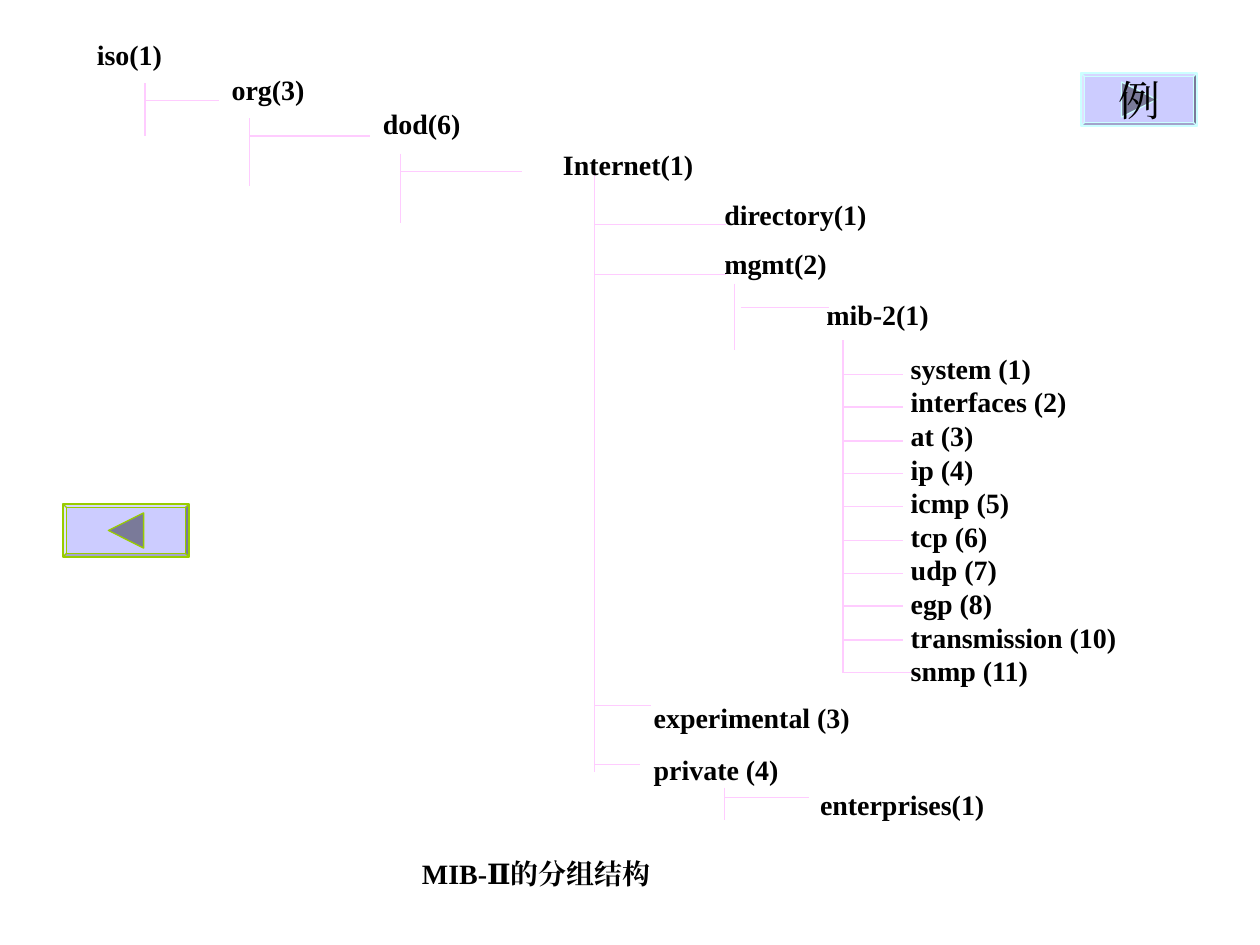
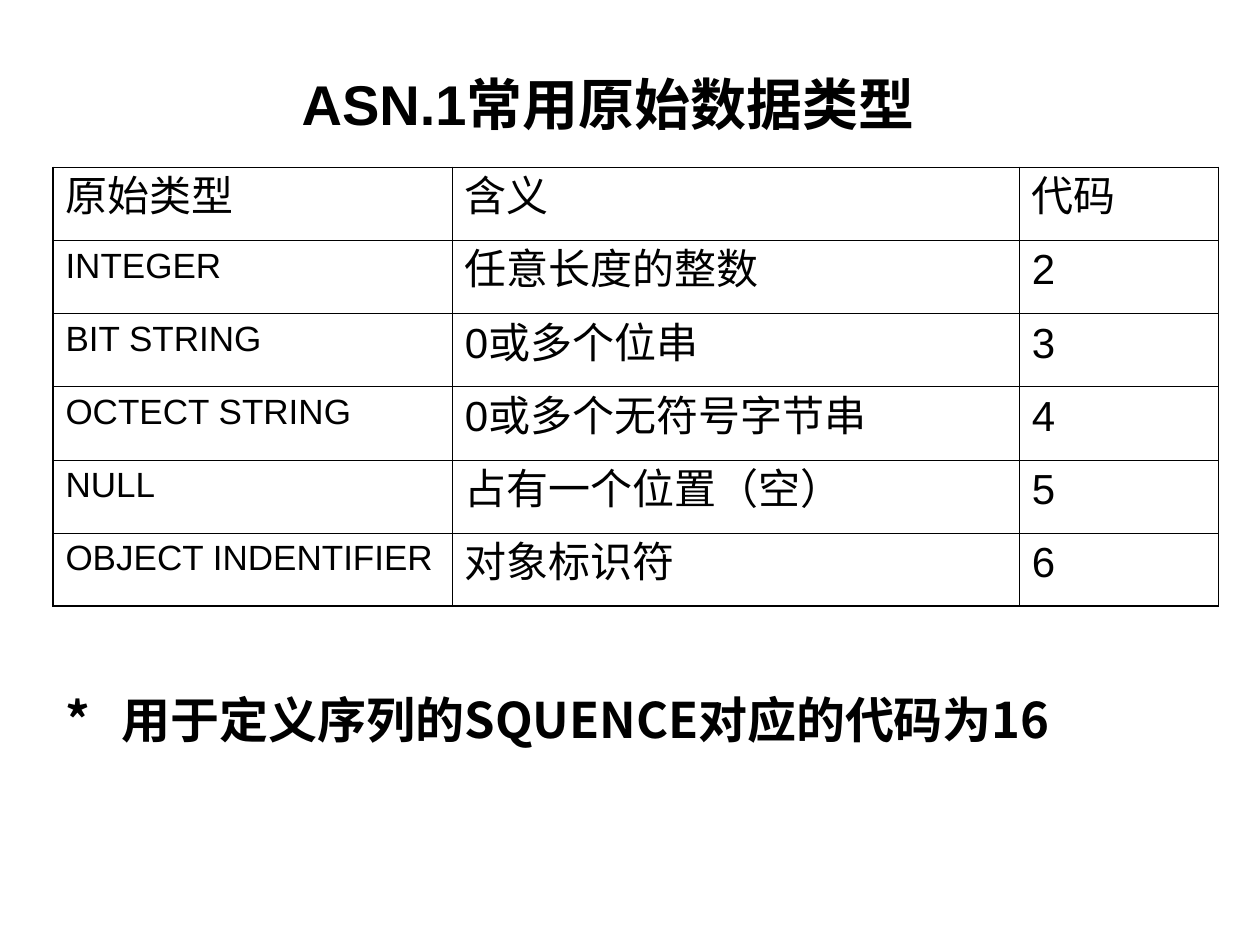
import pptx
import pptx.dml.color
import pptx.enum.shapes
import pptx.enum.text
import pptx.oxml.ns
import pptx.util
from lxml import etree

EMU_PER_PX = 9144
BLACK = "000000"
BRANCH_PINK = "FFCCFF"
BUTTON_FACE = "CCCCFF"
BUTTON_ARROW = "7A7A99"
SERIF = "Times New Roman"
SANS = "Arial"
CJK = "Noto Sans CJK SC"
ALIGN = pptx.enum.text.PP_ALIGN
ANCHOR = pptx.enum.text.MSO_ANCHOR

NODES = [
    ("org(3)", 174, 53, 96),
    ("dod(6)", 294, 80, 108),
    ("Internet(1)", 437, 112, 163),
    ("directory(1)", 565, 152, 151),
    ("mgmt(2)", 565, 191, 151),
    ("mib-2(1)", 646, 231, 139),
    ("experimental (3)", 509, 551, 204),
    ("private (4)", 509, 592, 216),
    ("enterprises(1)", 641, 620, 192),
]
MIB_GROUPS = [
    "system (1)", "interfaces (2)", "at (3)", "ip (4)", "icmp (5)",
    "tcp (6)", "udp (7)", "egp (8)", "transmission (10)", "snmp (11)",
]
TYPE_ROWS = [
    ("原始类型", "含义", "代码"),
    ("INTEGER", "任意长度的整数", "2"),
    ("BIT STRING", "0或多个位串", "3"),
    ("OCTECT STRING", "0或多个无符号字节串", "4"),
    ("NULL", "占有一个位置（空）", "5"),
    ("OBJECT INDENTIFIER", "对象标识符", "6"),
]


def px(length):
    return pptx.util.Emu(length * EMU_PER_PX)


def colour(hex_code):
    return pptx.dml.color.RGBColor.from_string(hex_code)


def write(frame, text, size=16, font=SERIF, bold=False, align=None, before=0, hang=0):
    for index, line in enumerate(text.split("\n")):
        paragraph = frame.paragraphs[0] if index == 0 else frame.add_paragraph()
        paragraph.alignment = align
        paragraph.space_before = pptx.util.Pt(before)
        if hang:
            properties = paragraph._p.get_or_add_pPr()
            properties.set("marL", str(px(hang)))
            properties.set("indent", str(-px(hang)))
        run = paragraph.add_run()
        run.text = line
        run.font.size = pptx.util.Pt(size)
        run.font.name = font
        run.font.bold = bold
        run.font.color.rgb = colour(BLACK)
        east_asian = etree.SubElement(run._r.get_or_add_rPr(), pptx.oxml.ns.qn("a:ea"))
        east_asian.set("typeface", font)


def label(slide, text, left, top, width, height, anchor=ANCHOR.TOP, **text_format):
    box = slide.shapes.add_textbox(px(left), px(top), px(width), px(height))
    box.text_frame.word_wrap = True
    box.text_frame.vertical_anchor = anchor
    write(box.text_frame, text, **text_format)
    return box


def node(slide, text, left, top, width, height=41):
    return label(slide, text, left, top, width, height, bold=True, align=ALIGN.JUSTIFY)


def branch_line(slide, x1, y1, x2, y2):
    line = slide.shapes.add_connector(
        pptx.enum.shapes.MSO_CONNECTOR.STRAIGHT, px(x1), px(y1), px(x2), px(y2))
    line.line.color.rgb = colour(BRANCH_PINK)
    line.line.width = pptx.util.Pt(0.75)
    etree.SubElement(line._element.spPr, pptx.oxml.ns.qn("a:effectLst"))
    return line


def branch(slide, trunk_x, top, bottom, twigs, twig_x=None):
    trunk = branch_line(slide, trunk_x, top, trunk_x, bottom)
    for y, end_x in twigs:
        branch_line(slide, twig_x or trunk_x, y, end_x, y)
    return trunk


def paint(shape, fill, outline):
    shape.shadow.inherit = False
    shape.fill.solid()
    shape.fill.fore_color.rgb = colour(fill)
    shape.line.color.rgb = colour(outline)
    shape.line.width = pptx.util.Pt(0.75)


def nav_button(slide, left, top, width, outline, direction):
    height, half_arrow = 42, 14
    face = slide.shapes.add_shape(
        pptx.enum.shapes.MSO_SHAPE.BEVEL, px(left), px(top), px(width), px(height))
    face.adjustments[0] = 0.07
    paint(face, BUTTON_FACE, outline)
    middle_x, middle_y = left + width // 2, top + height // 2
    tip_x = middle_x + direction * half_arrow
    base_x = middle_x - direction * half_arrow
    builder = slide.shapes.build_freeform(tip_x, middle_y, scale=EMU_PER_PX)
    builder.add_line_segments(
        [(base_x, middle_y - half_arrow), (base_x, middle_y + half_arrow)])
    paint(builder.convert_to_shape(), BUTTON_ARROW, outline)


def set_borders(cell, widths):
    properties = cell._tc.get_or_add_tcPr()
    for index, (side, width) in enumerate(widths.items()):
        edge = etree.Element(
            pptx.oxml.ns.qn("a:" + side), w=str(pptx.util.Pt(width)))
        fill = etree.SubElement(edge, pptx.oxml.ns.qn("a:solidFill"))
        etree.SubElement(fill, pptx.oxml.ns.qn("a:srgbClr"), val=BLACK)
        properties.insert(index, edge)


def type_table(slide, rows, left, top, column_widths, row_height):
    last_row, last_column = len(rows) - 1, len(column_widths) - 1
    table = slide.shapes.add_table(
        len(rows), len(column_widths), px(left), px(top),
        px(sum(column_widths)), px(row_height * len(rows))).table
    table.first_row = table.horz_banding = False
    for column, width in zip(table.columns, column_widths):
        column.width = px(width)
    for r, values in enumerate(rows):
        table.rows[r].height = px(row_height)
        for c, value in enumerate(values):
            cell = table.cell(r, c)
            is_type_name = r > 0 and c == 0
            write(cell.text_frame, value, font=SANS,
                  size=20 if is_type_name else 24, before=5 if is_type_name else 6)
            cell.fill.background()
            outer = {"lnL": c == 0, "lnR": c == last_column,
                     "lnT": r == 0, "lnB": r == last_row}
            set_borders(cell, {side: 1.08 if edge else 0.45 for side, edge in outer.items()})


def mib_tree_slide(slide):
    nav_button(slide, 50, 400, 100, "99CC00", direction=-1)

    iso = node(slide, "iso(1)", 67, 25, 96)
    iso_trunk = branch(slide, 115, 66, 108, [(80, 174)])
    iso_trunk.begin_connect(iso, 2)
    branch(slide, 198, 94, 148, [(108, 294)])
    branch(slide, 318, 122, 177, [(136, 414)])
    branch(slide, 472, 139, 613, [(178, 576), (218, 576), (560, 517), (607, 508)])
    branch(slide, 583, 225, 278, [(244, 658)], twig_x=588)
    branch(slide, 575, 625, 651, [(633, 642)])

    first_y, last_y = 297, 534
    gaps = len(MIB_GROUPS) - 1
    group_twigs = [(first_y + round(i * (last_y - first_y) / gaps), 717) for i in range(gaps)]
    branch(slide, 669, 270, last_y, group_twigs + [(last_y, 727)])

    for text, left, top, width in NODES:
        node(slide, text, left, top, width)
    node(slide, "\n".join(MIB_GROUPS), 713, 274, 204, 304)
    label(slide, "MIB-Ⅱ的分组结构", 252, 675, 347, 42, bold=True, align=ALIGN.CENTER)

    nav_button(slide, 858, 58, 92, "CCFFFF", direction=1)
    label(slide, "例", 858, 58, 92, 42, anchor=ANCHOR.MIDDLE, size=24, align=ALIGN.CENTER)


def asn1_types_slide(slide):
    label(slide, "ASN.1常用原始数据类型", 58, 50, 850, 67,
          size=32, font=SANS, bold=True, align=ALIGN.CENTER, before=8)
    type_table(slide, TYPE_ROWS, 42, 133, [317, 450, 158], 58)
    label(slide, "*\t用于定义序列的SQUENCE对应的代码为16", 42, 542, 933, 57,
          size=28, font=CJK, bold=True, before=17.5, hang=45)


def main():
    deck = pptx.Presentation()
    deck.slide_width, deck.slide_height = px(1000), px(750)
    blank = deck.slide_layouts[6]
    for build in (mib_tree_slide, asn1_types_slide):
        build(deck.slides.add_slide(blank))
    deck.save("out.pptx")


if __name__ == "__main__":
    main()
